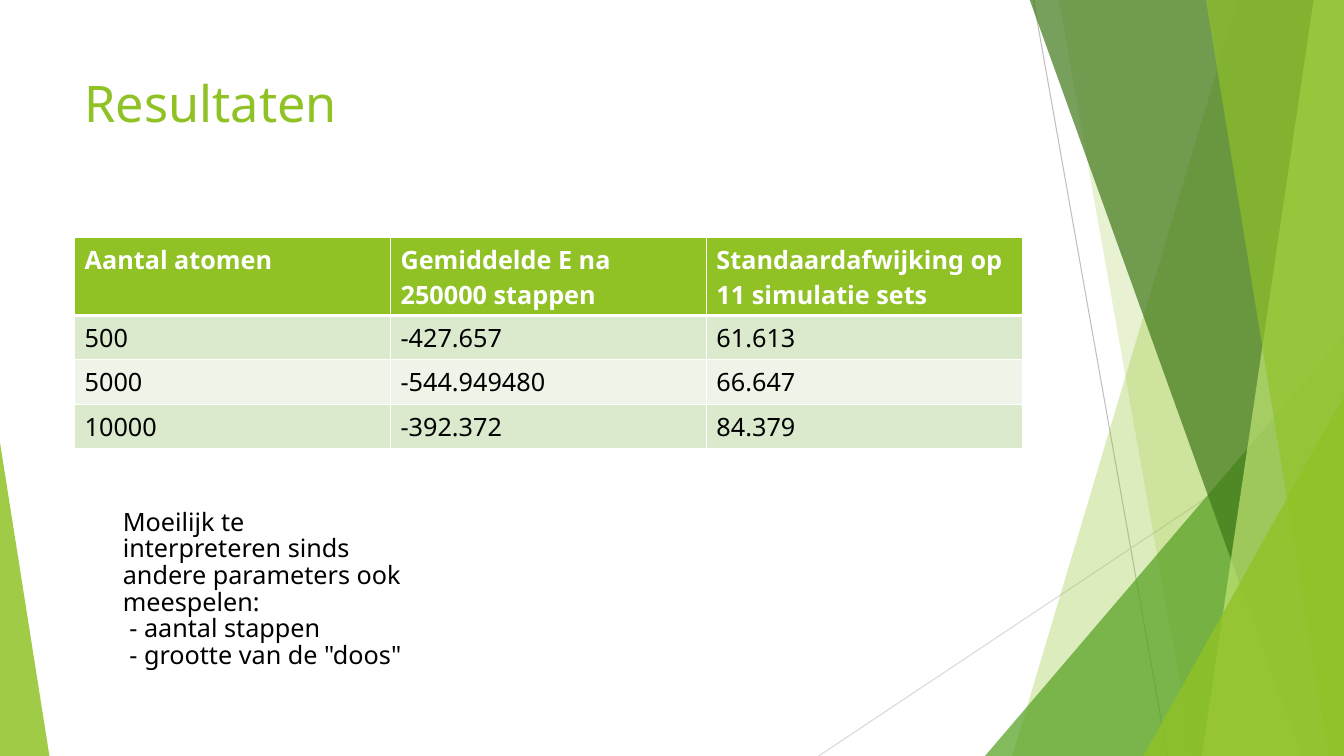
from lxml import etree
from pptx import Presentation
from pptx.dml.color import RGBColor
from pptx.enum import shapes, text
from pptx.oxml import ns
from pptx.util import Inches, Pt

FONT = "Noto Sans"
WHITE = RGBColor(0xFF, 0xFF, 0xFF)
BLACK = RGBColor(0, 0, 0)
GREEN = RGBColor(0x90, 0xC2, 0x26)
MID_GREEN = RGBColor(0x54, 0xA0, 0x21)
DARK_GREEN = RGBColor(0x3F, 0x78, 0x19)
PALE_GREEN = RGBColor(0xC0, 0xE4, 0x74)
BANDS = [RGBColor(0xDB, 0xE9, 0xCD), RGBColor(0xEE, 0xF4, 0xE8)]
GREY = RGBColor(0xBF, 0xBF, 0xBF)
LIGHT_GREY = RGBColor(0xD9, 0xD9, 0xD9)

# Content
TITLE = "Resultaten"
RESULTS = [
    ("Aantal atomen", "Gemiddelde E na 250000 stappen",
     "Standaardafwijking op 11 simulatie sets"),
    ("500", "-427.657", "61.613"),
    ("5000", "-544.949480", "66.647"),
    ("10000", "-392.372", "84.379"),
]
REMARKS = [
    "Moeilijk te interpreteren sinds andere parameters ook meespelen:",
    "\u00a0- aantal stappen\u00a0",
    "\u00a0- grootte van de \"doos\"",
]

# Decoration, from back to front
WIDTH, HEIGHT, TOP = 13.33, 7.5, -0.01
LINES = [((10.25, 0), (11.58, HEIGHT), GREY),
         ((WIDTH, 4.03), (8.12, HEIGHT), LIGHT_GREY)]
# Bands reach the right edge: (left x at top, left x at bottom, colour, opacity)
# Triangles stand on the bottom edge: (left, top, width, apex, colour, opacity)
DECORATION = [
    ("band", 12.28, 10.04, GREEN, 30),
    ("band", 10.5, 11.83, GREEN, 20),
    ("triangle", 9.77, 3.33, 3.56, 1, MID_GREEN, 72),
    ("band", 10.21, 12.91, DARK_GREEN, 70),
    ("band", 13.03, 11.92, PALE_GREEN, 70),
    ("band", 11.96, 13.18, GREEN, 65),
    ("triangle", 11.34, 3.93, 1.99, 1, GREEN, 80),
    ("triangle", 0, 4.39, 0.49, 0, GREEN, 85),
]

presentation = Presentation()
presentation.slide_width, presentation.slide_height = Inches(WIDTH), Inches(HEIGHT)
slide = presentation.slides.add_slide(presentation.slide_layouts[6])


def write(frame, paragraphs, size=18, color=BLACK, bold=False, spacing=None):
    frame.word_wrap = True
    for index, words in enumerate(paragraphs):
        paragraph = frame.add_paragraph() if index else frame.paragraphs[0]
        paragraph.line_spacing = spacing
        run = paragraph.add_run()
        run.text = words
        run.font.name, run.font.size = FONT, Pt(size)
        run.font.color.rgb, run.font.bold = color, bold


def add_text(left, top, width, height, paragraphs, **style):
    box = slide.shapes.add_textbox(*map(Inches, (left, top, width, height)))
    box.text_frame.vertical_anchor = text.MSO_ANCHOR.TOP
    write(box.text_frame, paragraphs, **style)


def paint(shape, color, opacity):
    shape.shadow.inherit = False
    shape.line.fill.background()
    shape.fill.solid()
    shape.fill.fore_color.rgb = color
    color_element = shape._element.spPr.find(".//" + ns.qn("a:srgbClr"))
    etree.SubElement(color_element, ns.qn("a:alpha"), val=str(opacity * 1000))


def add_band(top_x, bottom_x, color, opacity):
    outline = slide.shapes.build_freeform(Inches(top_x), Inches(TOP), scale=1.0)
    corners = [(WIDTH, TOP), (WIDTH, HEIGHT), (bottom_x, HEIGHT)]
    outline.add_line_segments([(Inches(x), Inches(y)) for x, y in corners], close=True)
    paint(outline.convert_to_shape(), color, opacity)


def add_triangle(left, top, width, apex, color, opacity):
    triangle = slide.shapes.add_shape(
        shapes.MSO_SHAPE.ISOSCELES_TRIANGLE,
        *map(Inches, (left, top, width, HEIGHT - top)))
    triangle.adjustments[0] = apex
    paint(triangle, color, opacity)


def add_border(cell, side, width):
    line = etree.SubElement(cell._tc.get_or_add_tcPr(), ns.qn("a:ln" + side),
                            w=str(Pt(width)))
    fill = etree.SubElement(line, ns.qn("a:solidFill"))
    etree.SubElement(fill, ns.qn("a:srgbClr"), val=str(WHITE))


# Background lines and facets
for start, end, color in LINES:
    connector = slide.shapes.add_connector(
        shapes.MSO_CONNECTOR.STRAIGHT, *map(Inches, start + end))
    connector.line.color.rgb, connector.line.width = color, Pt(0.75)
    etree.SubElement(connector._element.spPr, ns.qn("a:effectLst"))
DRAW = {"band": add_band, "triangle": add_triangle}
for kind, *details in DECORATION:
    DRAW[kind](*details)

# Title
add_text(0.74, 0.67, 9.4, 1.44, [TITLE], size=36, color=GREEN)

# Results table
HEADER_HEIGHT, ROW_HEIGHT = 0.77, 0.44
table = slide.shapes.add_table(
    len(RESULTS), len(RESULTS[0]), Inches(0.74), Inches(2.36), Inches(9.4),
    Inches(HEADER_HEIGHT + ROW_HEIGHT * (len(RESULTS) - 1))).table
for row_index, values in enumerate(RESULTS):
    header = row_index == 0
    table.rows[row_index].height = Inches(HEADER_HEIGHT if header else ROW_HEIGHT)
    for column_index, value in enumerate(values):
        cell = table.cell(row_index, column_index)
        for side in "LRTB":
            thick = (side == "B" and header) or (side == "T" and row_index == 1)
            add_border(cell, side, 3 if thick else 1)
        cell.fill.solid()
        cell.fill.fore_color.rgb = GREEN if header else BANDS[(row_index - 1) % 2]
        write(cell.text_frame, [value], color=WHITE if header else BLACK, bold=header)

# Remarks
add_text(1.12, 5.01, 3, 1.62, REMARKS, spacing=0.88)

presentation.save("out.pptx")
